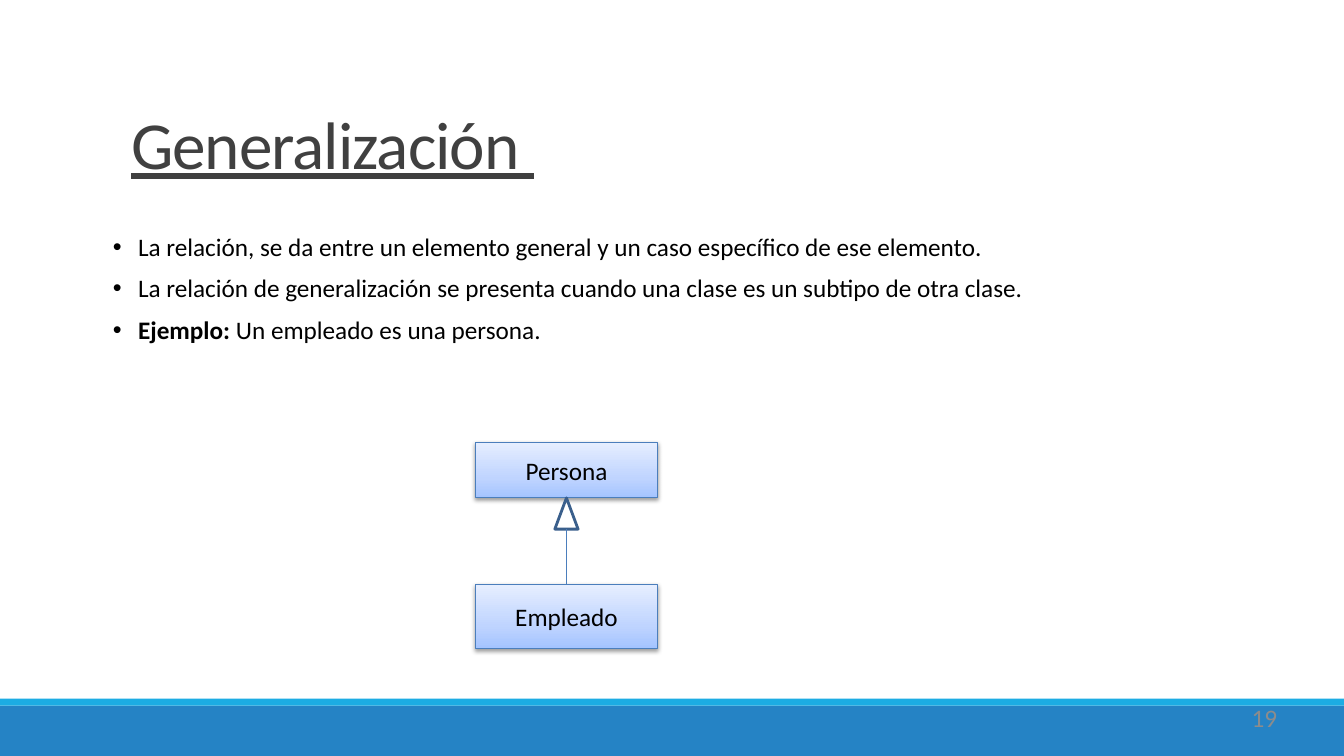
from dataclasses import dataclass

from pptx import Presentation, oxml, util as u
from pptx.dml import color
from pptx.enum import shapes, text
from pptx.oxml import ns

SLIDE_WIDTH, SLIDE_HEIGHT = u.Inches(13.33), u.Inches(7.5)
FONT = "Calibri"
COLORS = {
    "band": "2583C5", "stripe": "1CACE3", "title": "404040", "number": "8C8C8C",
    "ink": "000000", "outline": "4B7EBC", "arrow": "3A5F8C",
}
CLASS_GRADIENT = {0: "A4C4FF", 35: "BFD4FF", 100: "E6EEFF"}


@dataclass(frozen=True)
class Area:
    """Position and size in percent of the slide."""
    left: float
    top: float
    width: float
    height: float

    @property
    def center(self) -> float:
        return self.left + self.width / 2

    @property
    def bottom(self) -> float:
        return self.top + self.height

    def box(self) -> tuple:
        return (across(self.left), down(self.top), across(self.width), down(self.height))


@dataclass(frozen=True)
class Band:
    area: Area
    color: str


@dataclass(frozen=True)
class ClassBox:
    label: str
    area: Area


@dataclass(frozen=True)
class Phrase:
    words: str
    bold: bool = False


BANDS = [
    Band(Area(0, 93.33, 100, 6.67), "band"),
    Band(Area(0, 92.4, 100, 0.93), "stripe"),
]
PARENT = ClassBox("Persona", Area(35.4, 58.53, 13.5, 7.33))
CHILD = ClassBox("Empleado", Area(35.4, 77.33, 13.5, 8.4))
POINTS = [
    [Phrase("La relación, se da entre un elemento general y un caso específico de ese elemento.")],
    [Phrase("La relación de generalización se presenta cuando una clase es un subtipo de otra clase.")],
    [Phrase("Ejemplo: ", True), Phrase("Un empleado es una persona.")],
]


def across(percent: float) -> int:
    return round(SLIDE_WIDTH * percent / 100)


def down(percent: float) -> int:
    return round(SLIDE_HEIGHT * percent / 100)


def rgb(name: str) -> color.RGBColor:
    return color.RGBColor.from_string(COLORS[name])


def add_run(paragraph, words: str, size: float, ink: str, bold: bool = False):
    run = paragraph.add_run()
    run.text = words
    run.font.name, run.font.size, run.font.bold = FONT, u.Pt(size), bold
    run.font.color.rgb = rgb(ink)
    return run


def place(holder, area: Area, top_inset: float = 0):
    holder.left, holder.top, holder.width, holder.height = area.box()
    frame = holder.text_frame
    frame.margin_left = frame.margin_right = frame.margin_bottom = 0
    frame.margin_top = down(top_inset)
    frame.word_wrap = True
    frame.auto_size = text.MSO_AUTO_SIZE.NONE
    frame.vertical_anchor = text.MSO_ANCHOR.TOP
    return frame


def add_band(slide, band: Band) -> None:
    bar = slide.shapes.add_shape(shapes.MSO_SHAPE.RECTANGLE, *band.area.box())
    bar.shadow.inherit = False
    bar.fill.solid()
    bar.fill.fore_color.rgb = rgb(band.color)
    bar.line.fill.background()


def add_title(slide) -> None:
    frame = place(slide.shapes.title, Area(8.33, 4.4, 83.33, 20.4), 9.07)
    heading = frame.paragraphs[0]
    heading.alignment = text.PP_ALIGN.LEFT
    heading._p.get_or_add_pPr().set("marL", str(u.Inches(0.19)))
    run = add_run(heading, "Generalización ", 48, "title")
    run.font.underline = True
    run._r.get_or_add_rPr().set("spc", "-75")


def add_points(slide) -> None:
    frame = place(slide.placeholders[1], Area(8.4, 31.07, 75.32, 21.07))
    for index, phrases in enumerate(POINTS):
        point = frame.add_paragraph() if index else frame.paragraphs[0]
        point.line_spacing, point.space_before = 0.9, u.Pt(10)
        properties = point._p.get_or_add_pPr()
        properties.set("marL", str(u.Inches(0.25)))
        properties.set("indent", str(-u.Inches(0.25)))
        for phrase in phrases:
            add_run(point, phrase.words, 18, "ink", phrase.bold)


def add_class(slide, entry: ClassBox) -> None:
    card = slide.shapes.add_shape(shapes.MSO_SHAPE.RECTANGLE, *entry.area.box())
    card.shadow.inherit = False
    card.fill.gradient()
    card.fill.gradient_angle = 90
    card.line.color.rgb = rgb("outline")
    card.line.width = u.Pt(0.75)
    properties = card._element.spPr
    stops = properties.find(".//" + ns.qn("a:gsLst"))
    marks = "".join(
        f'<a:gs pos="{share * 1000}"><a:srgbClr val="{tone}"/></a:gs>'
        for share, tone in CLASS_GRADIENT.items()
    )
    stops.getparent().replace(
        stops, oxml.parse_xml(f'<a:gsLst {ns.nsdecls("a")}>{marks}</a:gsLst>')
    )
    properties.find(ns.qn("a:effectLst")).append(oxml.parse_xml(
        f'<a:outerShdw {ns.nsdecls("a")} blurRad="{u.Pt(3.1)}" dist="{u.Pt(1.6)}" '
        f'dir="5400000" rotWithShape="0"><a:srgbClr val="{COLORS["ink"]}">'
        '<a:alpha val="38000"/></a:srgbClr></a:outerShdw>'
    ))
    card.text_frame.vertical_anchor = text.MSO_ANCHOR.MIDDLE
    label = card.text_frame.paragraphs[0]
    label.alignment = text.PP_ALIGN.CENTER
    add_run(label, entry.label, 18, "ink")


def add_inheritance(slide, parent: Area, child: Area) -> None:
    width = 1.73
    head = Area(parent.center - width / 2, parent.bottom, width, 4.13)
    tip = slide.shapes.add_shape(shapes.MSO_SHAPE.ISOSCELES_TRIANGLE, *head.box())
    tip.shadow.inherit = False
    tip.fill.background()
    tip.line.color.rgb = rgb("arrow")
    tip.line.width = u.Pt(2)
    stem = slide.shapes.add_connector(
        shapes.MSO_CONNECTOR.STRAIGHT,
        across(head.center), down(head.bottom), across(head.center), down(child.top),
    )
    stem.line.color.rgb = rgb("outline")
    stem.line.width = u.Pt(0.75)
    stem._element.spPr.append(oxml.parse_xml(f'<a:effectLst {ns.nsdecls("a")}/>'))


def add_page_number(slide) -> None:
    area = Area(72, 92.93, 23.03, 5.07)
    number = place(slide.shapes.add_textbox(*area.box()), area).paragraphs[0]
    number.alignment = text.PP_ALIGN.RIGHT
    add_run(number, "19", 18, "number")


def main() -> None:
    deck = Presentation()
    deck.slide_width, deck.slide_height = SLIDE_WIDTH, SLIDE_HEIGHT
    slide = deck.slides.add_slide(deck.slide_layouts[1])
    for band in BANDS:
        add_band(slide, band)
    add_title(slide)
    add_points(slide)
    add_page_number(slide)
    for entry in (PARENT, CHILD):
        add_class(slide, entry)
    add_inheritance(slide, PARENT.area, CHILD.area)
    deck.save("out.pptx")


if __name__ == "__main__":
    main()
